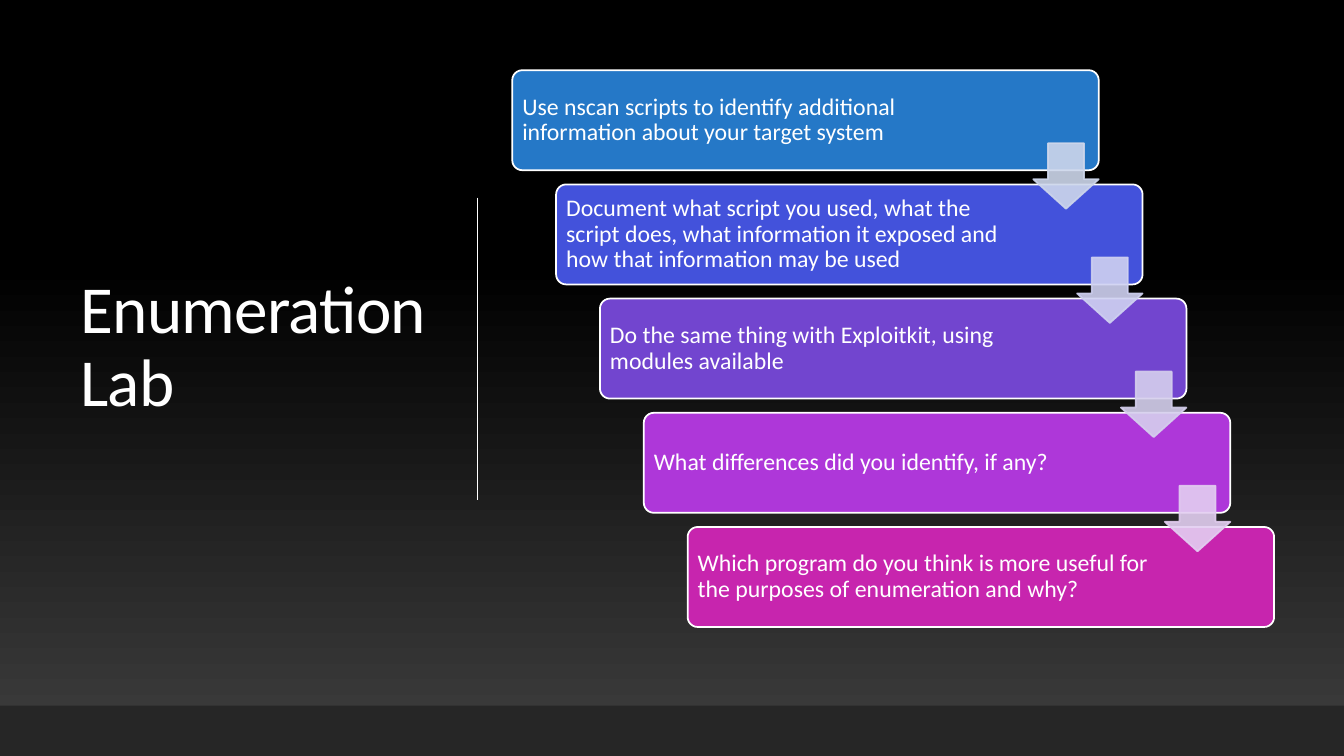
from copy import deepcopy

from pptx import Presentation
from pptx.dml.color import RGBColor
from pptx.enum.shapes import MSO_CONNECTOR, MSO_SHAPE
from pptx.enum.text import MSO_ANCHOR, PP_ALIGN
from pptx.oxml.ns import qn
from pptx.util import Cm, Pt
from lxml import etree

ROUNDED = MSO_SHAPE.ROUNDED_RECTANGLE
RECTANGLE = MSO_SHAPE.RECTANGLE
DOWN_ARROW = MSO_SHAPE.DOWN_ARROW
STRAIGHT = MSO_CONNECTOR.STRAIGHT
MIDDLE = MSO_ANCHOR.MIDDLE
LEFT = PP_ALIGN.LEFT

FONT = "Calibri"
WHITE = "FFFFFF"
PAGE_WIDTH, PAGE_HEIGHT = 33.87, 19.05

# Text, card colour and colour of the arrow to the next card
STEPS = [
    ("Use nscan scripts to identify additional information about your target system",
     "2578C7", "CDD6EB"),
    ("Document what script you used, what the script does, what information "
     "it exposed and how that information may be used", "4352DB", "CFD1F1"),
    ("Do the same thing with Exploitkit, using modules available",
     "7245CF", "D5CFED"),
    ("What differences did you identify, if any?", "AE37D9", "E3CEF1"),
    ("Which program do you think is more useful for the purposes of "
     "enumeration and why?", "C725AE", None),
]


def rgb(value):
    return RGBColor.from_string(value)


def write_text(shape, text, size, insets, spacing=None):
    """Fill a shape with one paragraph; insets are left, top, right, bottom in cm."""
    frame = shape.text_frame
    frame.word_wrap = True
    frame.vertical_anchor = MIDDLE
    (frame.margin_left, frame.margin_top,
     frame.margin_right, frame.margin_bottom) = map(Cm, insets)
    para = frame.paragraphs[0]
    para.alignment = LEFT
    para.line_spacing = 0.9
    span = para.add_run()
    span.text = text
    span.font.name = FONT
    span.font.size = Pt(size)
    span.font.color.rgb = rgb(WHITE)
    if spacing is not None:
        span.font._element.set("spc", str(round(spacing * 100)))


def add_block(page, kind, box, fill, line=None, adjustments=()):
    shape = page.shapes.add_shape(kind, *map(Cm, box))
    shape.shadow.inherit = False
    shape.fill.solid()
    shape.fill.fore_color.rgb = rgb(fill)
    if line:
        shape.line.color.rgb = rgb(line)
        shape.line.width = Pt(1.25)
    else:
        shape.line.fill.background()
    for index, value in enumerate(adjustments):
        shape.adjustments[index] = value
    return shape


def set_opacity(shape, percent):
    for color in shape._element.spPr.iter(qn("a:srgbClr")):
        etree.SubElement(color, qn("a:alpha")).set("val", str(percent * 1000))


def paint_background(page):
    """Fade from dark grey at the bottom to black at 65 % of the height."""
    fill = page.background.fill
    fill.gradient()
    fill.gradient_angle = 90
    for stop, color, position in zip(fill.gradient_stops, ("3F3F3F", "000000"), (0, 0.65)):
        stop.color.rgb = rgb(color)
        stop.position = position
    black = list(page._element.iter(qn("a:gs")))[-1]
    top = deepcopy(black)
    top.set("pos", "100000")
    black.addnext(top)


def add_footer_band(page, height):
    add_block(page, RECTANGLE, (0, PAGE_HEIGHT - height, PAGE_WIDTH, height), "262626")


def add_title(page, box, text):
    title = page.shapes.add_textbox(*map(Cm, box))
    write_text(title, text, size=48, insets=(0.25, 0.13, 0.25, 0.13), spacing=-0.5)


def add_divider(page, left, top, height):
    line = page.shapes.add_connector(STRAIGHT, Cm(left), Cm(top), Cm(left), Cm(top + height))
    line.line.color.rgb = rgb(WHITE)
    line.line.width = Pt(1)
    etree.SubElement(line._element.spPr, qn("a:effectLst"))


def add_staircase(page, box, steps):
    """Spread cards diagonally over the box, each with an arrow to the next."""
    left, top, width, height = box
    card_width, card_height, arrow_size = 14.78, 2.52, 1.65
    step_x = (width - card_width) / (len(steps) - 1)
    step_y = (height - card_height) / (len(steps) - 1)
    corners = [(left + i * step_x, top + i * step_y) for i in range(len(steps))]

    for (x, y), (text, color, _) in zip(corners, steps):
        card = add_block(page, ROUNDED, (x, y, card_width, card_height), color, WHITE, [0.1])
        write_text(card, text, size=17, insets=(0.18, 0.18, 2.92, 0.18))

    for (x, y), (_, _, color) in zip(corners[:-1], steps):
        arrow_box = (x + card_width - arrow_size, y + 1.84, arrow_size, arrow_size)
        arrow = add_block(page, DOWN_ARROW, arrow_box, color, color, [0.55, 0.45])
        set_opacity(arrow, 90)


def main():
    deck = Presentation()
    deck.slide_width, deck.slide_height = Cm(PAGE_WIDTH), Cm(PAGE_HEIGHT)
    page = deck.slides.add_slide(deck.slide_layouts[6])
    paint_background(page)
    add_title(page, (1.78, 1.75, 9.37, 14.05), "Enumeration Lab")
    add_divider(page, 12.04, 4.98, 7.62)
    add_footer_band(page, 1.27)
    add_staircase(page, (12.91, 1.77, 19.2, 14.03), STEPS)
    deck.save("out.pptx")


if __name__ == "__main__":
    main()
